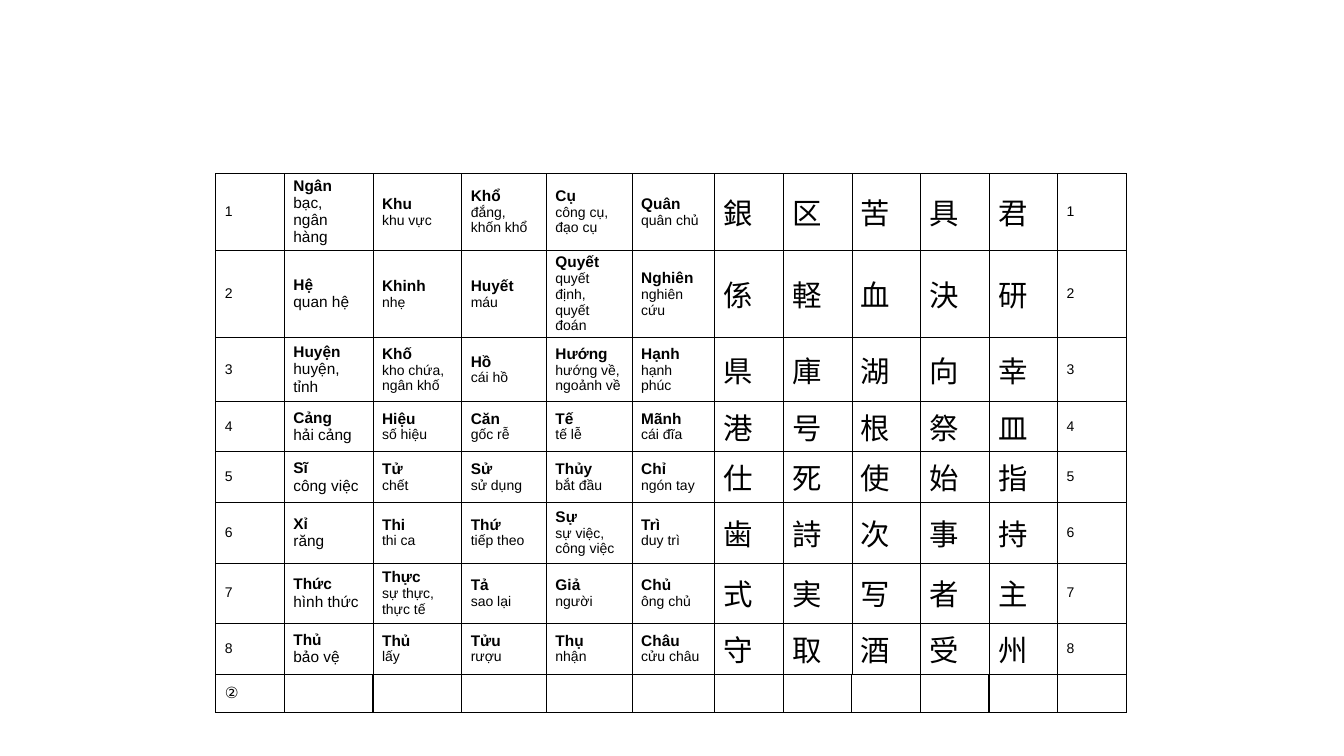
"""Build a slide with a table of kanji and their Sino-Vietnamese readings."""
from dataclasses import dataclass

from lxml.etree import SubElement
from pptx import Presentation
from pptx.dml.color import RGBColor
from pptx.enum.text import MSO_VERTICAL_ANCHOR as Anchor
from pptx.oxml.ns import qn
from pptx.util import Inches, Pt

BLACK = "000000"
THIN, THICK = 0.5, 1.0
COLS = [0.68, 0.88, 0.88, 0.84, 0.85, 0.82] + [0.68] * 6


@dataclass
class KanjiRow:
    height: float
    readings: list[str]
    kanji: str


ROWS = [
    KanjiRow(0.63, ["Ngân|bạc,|ngân hàng", "Khu|khu vực", "Khổ|đắng,|khốn khổ",
                    "Cụ|công cụ,|đạo cụ", "Quân|quân chủ"], "銀区苦具君"),
    KanjiRow(0.6, ["Hệ|quan hệ", "Khinh|nhẹ", "Huyết|máu",
                   "Quyết|quyết định,|quyết đoán", "Nghiên|nghiên cứu"], "係軽血決研"),
    KanjiRow(0.63, ["Huyện|huyện, tỉnh", "Khố|kho chứa,|ngân khố", "Hồ|cái hồ",
                    "Hướng|hướng về,|ngoảnh về", "Hạnh|hạnh phúc"], "県庫湖向幸"),
    KanjiRow(0.45, ["Cảng|hải cảng", "Hiệu|số hiệu", "Căn|gốc rễ",
                    "Tế|tế lễ", "Mãnh|cái đĩa"], "港号根祭皿"),
    KanjiRow(0.45, ["Sĩ|công việc", "Tử|chết", "Sử|sử dụng",
                    "Thủy|bắt đầu", "Chỉ|ngón tay"], "仕死使始指"),
    KanjiRow(0.6, ["Xỉ|răng", "Thi|thi ca", "Thứ|tiếp theo",
                   "Sự|sự việc,|công việc", "Trì|duy trì"], "歯詩次事持"),
    KanjiRow(0.6, ["Thức|hình thức", "Thực|sự thực,|thực tế", "Tả|sao lại",
                   "Giả|người", "Chủ|ông chủ"], "式実写者主"),
    KanjiRow(0.45, ["Thủ|bảo vệ", "Thủ|lấy", "Tửu|rượu",
                    "Thụ|nhận", "Châu|cửu châu"], "守取酒受州"),
]
FOOT_HEIGHT = 0.35


def rgb(color: str) -> RGBColor:
    return RGBColor.from_string(color)


def set_borders(cell, widths: dict[str, float]) -> None:
    tc_pr = cell._tc.get_or_add_tcPr()
    for i, (side, width) in enumerate(widths.items()):
        ln = SubElement(tc_pr, qn(f"a:ln{side}"), w=str(Pt(width)))
        fill = SubElement(ln, qn("a:solidFill"))
        SubElement(fill, qn("a:srgbClr"), val=BLACK)
        tc_pr.insert(i, ln)


def style_cell(cell, bottom: float = THIN, side: float = THIN) -> None:
    cell.fill.background()
    cell.vertical_anchor = Anchor.MIDDLE
    cell.margin_left = cell.margin_right = Inches(0.09)
    cell.margin_top = cell.margin_bottom = Inches(0.04)
    set_borders(cell, {"L": side, "R": side, "T": THIN, "B": bottom})


def write(cell, text: str, size: float, font: str = "Arial",
          head_size: float | None = None) -> None:
    p = cell.text_frame.paragraphs[0]
    p.text = text.replace("|", "\v")
    for br in p._p.findall(qn("a:br")):
        SubElement(br, qn("a:rPr"), sz=str(int(size * 100)))
    for i, r in enumerate(p.runs):
        is_head = head_size is not None and i == 0
        r.font.size = Pt(head_size if is_head else size)
        r.font.bold = is_head
        r.font.name = font
        r.font.color.rgb = rgb(BLACK)


def fill_row(table, index: int, row: KanjiRow) -> None:
    last = len(COLS) - 1
    for col in range(len(COLS)):
        style_cell(table.cell(index, col))
    for col in (0, last):
        write(table.cell(index, col), str(index + 1), 10)
    for col, reading in enumerate(row.readings, start=1):
        write(table.cell(index, col), reading, 11 if col == 1 else 10, head_size=11)
    for col, char in enumerate(row.kanji, start=1 + len(row.readings)):
        write(table.cell(index, col), char, 21, "Roboto")


def fill_foot(table, index: int) -> None:
    style_cell(table.cell(index, 0))
    write(table.cell(index, 0), "②", 11, "Roboto")
    for col in range(1, len(COLS)):
        style_cell(table.cell(index, col), THICK, THIN if col == 1 else THICK)


def main() -> None:
    prs = Presentation()
    prs.slide_width, prs.slide_height = Inches(13.33), Inches(7.5)
    s = prs.slides.add_slide(prs.slide_layouts[6])
    heights = [row.height for row in ROWS] + [FOOT_HEIGHT]
    table = s.shapes.add_table(len(heights), len(COLS), Inches(2.14), Inches(1.72),
                               Inches(sum(COLS)), Inches(sum(heights))).table
    table.first_row = table.horz_banding = False
    for column, width in zip(table.columns, COLS):
        column.width = Inches(width)
    for table_row, height in zip(table.rows, heights):
        table_row.height = Inches(height)
    for i, row in enumerate(ROWS):
        fill_row(table, i, row)
    fill_foot(table, len(ROWS))
    prs.save("out.pptx")


if __name__ == "__main__":
    main()
